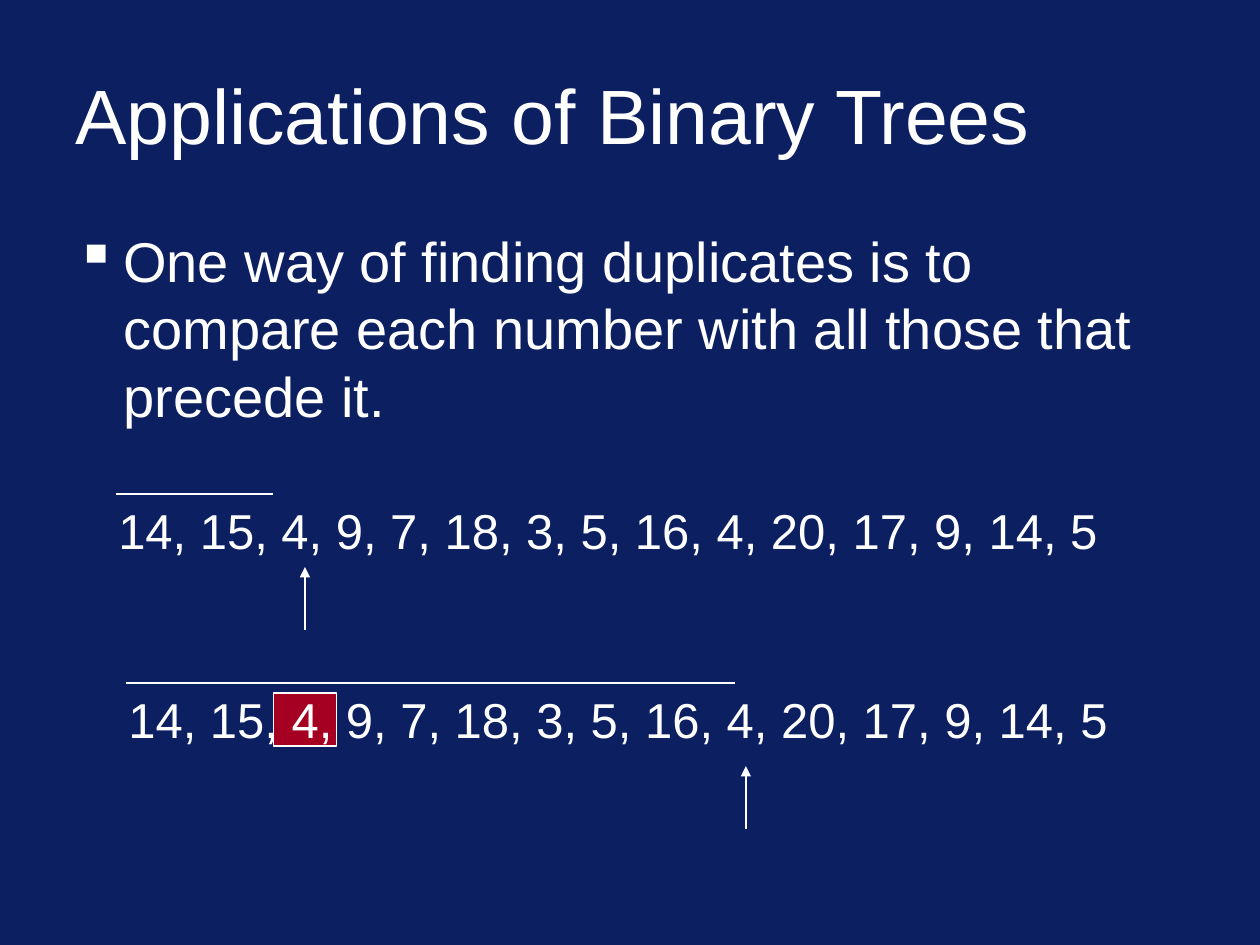
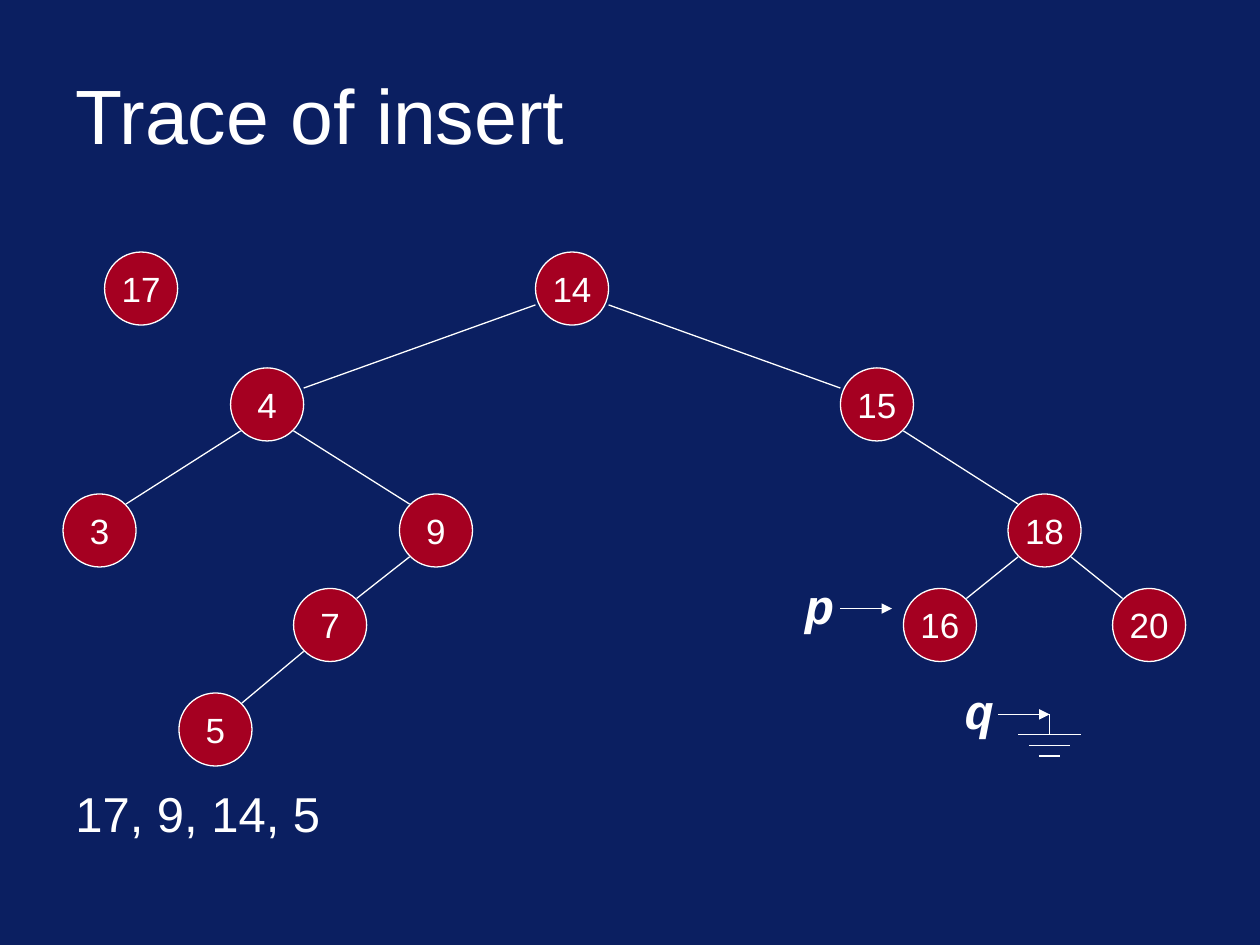
from lxml import etree
from pptx import Presentation
from pptx.dml.color import RGBColor
from pptx.enum.shapes import MSO_CONNECTOR, MSO_SHAPE
from pptx.enum.text import MSO_ANCHOR, PP_ALIGN
from pptx.oxml.ns import qn
from pptx.util import Inches, Pt

NAVY = RGBColor(0x0B, 0x1F, 0x61)
RED = RGBColor(0xA5, 0x00, 0x21)
WHITE = RGBColor(0xFF, 0xFF, 0xFF)
LINE_WIDTH = Pt(0.75)
NODE_SIZE = 0.58
CORNER = 0.08
NUMBERS = "14, 15, 4, 9, 7, 18, 3, 5, 16, 4, 20, 17, 9, 14, 5"


def write(sp, text, size=28, font="Arial", bold=False, italic=False,
          align=PP_ALIGN.LEFT, anchor=MSO_ANCHOR.TOP, wrap=True, before=0):
    """Put one formatted paragraph into a shape and return it."""
    tf = sp.text_frame
    tf.word_wrap = wrap
    tf.vertical_anchor = anchor
    p = tf.paragraphs[0]
    p.alignment = align
    p.space_before = Pt(before)
    r = p.add_run()
    r.text = text
    r.font.size = Pt(size)
    r.font.name = font
    r.font.bold = bold
    r.font.italic = italic
    r.font.color.rgb = WHITE
    return p


def add_text(s, left, top, width, height, text, **style):
    """Add a text box holding one paragraph."""
    box = s.shapes.add_textbox(Inches(left), Inches(top), Inches(width), Inches(height))
    return write(box, text, **style)


def add_bullet(p, char, indent):
    """Give a paragraph a white bullet with a hanging indent."""
    pPr = p._p.get_or_add_pPr()
    pPr.set("marL", str(Inches(indent)))
    pPr.set("indent", str(-Inches(indent)))
    color = etree.SubElement(pPr, qn("a:buClr"))
    etree.SubElement(color, qn("a:srgbClr")).set("val", str(WHITE))
    etree.SubElement(pPr, qn("a:buChar")).set("char", char)


def add_line(s, x1, y1, x2, y2, arrow=False):
    """Draw a thin white line, with an arrowhead at its end if asked."""
    c = s.shapes.add_connector(MSO_CONNECTOR.STRAIGHT, Inches(x1), Inches(y1),
                               Inches(x2), Inches(y2))
    c.line.color.rgb = WHITE
    c.line.width = LINE_WIDTH
    if arrow:
        etree.SubElement(c.line._get_or_add_ln(), qn("a:tailEnd")).set("type", "triangle")
    etree.SubElement(c._element.spPr, qn("a:effectLst"))


def add_red_shape(s, kind, left, top, width, height):
    """Add a red shape with a thin white outline."""
    sp = s.shapes.add_shape(kind, Inches(left), Inches(top), Inches(width), Inches(height))
    sp.shadow.inherit = False
    sp.fill.solid()
    sp.fill.fore_color.rgb = RED
    sp.line.color.rgb = WHITE
    sp.line.width = LINE_WIDTH
    return sp


def new_slide(prs, title):
    """Add a navy slide with its title."""
    s = prs.slides.add_slide(prs.slide_layouts[6])
    s.background.fill.solid()
    s.background.fill.fore_color.rgb = NAVY
    add_text(s, 0.5, 0.4, 9, 1, title, size=44, anchor=MSO_ANCHOR.MIDDLE)
    return s


def number_row(s, left, top, bar, arrow_x, arrow_y, duplicate_x=None):
    """Show the numbers, a bar over those compared and an arrow to the current one."""
    if duplicate_x is not None:
        add_red_shape(s, MSO_SHAPE.RECTANGLE, left + duplicate_x, top + 0.08, 0.5, 0.42)
    add_text(s, left - 0.08, top, 7.97, 0.57, NUMBERS, align=PP_ALIGN.CENTER, wrap=False)
    add_line(s, left, top, left + bar, top)
    x, y = left + arrow_x, top + arrow_y
    add_line(s, x, y + 0.5, x, y, arrow=True)


def tree_node(s, left, top, label):
    """Draw a numbered tree node."""
    sp = add_red_shape(s, MSO_SHAPE.OVAL, left, top, NODE_SIZE, NODE_SIZE)
    tf = sp.text_frame
    tf.margin_left = tf.margin_right = tf.margin_top = tf.margin_bottom = 0
    write(sp, label, size=20, align=PP_ALIGN.CENTER, anchor=MSO_ANCHOR.MIDDLE, wrap=False)


def tree_edge(s, parent, child, inset=CORNER, drop=NODE_SIZE - CORNER, rise=CORNER):
    """Join the lower side of a parent to the upper side of its child."""
    (px, py), (cx, cy) = parent, child
    near, far = inset, NODE_SIZE - inset
    start, end = (near, far) if cx < px else (far, near)
    add_line(s, px + start, py + drop, cx + end, cy + rise)


def pointer(s, left, top, width, name, arrow_x, arrow_y):
    """Draw a named pointer with its arrow."""
    add_text(s, left, top, width, 0.57, name, font="Courier New", bold=True, italic=True,
             align=PP_ALIGN.CENTER, wrap=False)
    x, y = left + arrow_x, top + arrow_y
    add_line(s, x, y, x + 0.41, y, arrow=True)


def null_symbol(s, x, top):
    """Draw a ground symbol centred on x."""
    add_line(s, x, top, x, top + 0.16)
    for i, width in enumerate((0.5, 0.33, 0.17)):
        y = top + 0.16 + i * 0.085
        add_line(s, x - width / 2, y, x + width / 2, y)


def applications_slide(prs):
    """Build the slide on finding duplicates."""
    s = new_slide(prs, "Applications of Binary Trees")
    p = add_text(s, 0.5, 1.75, 9, 2, "One way of finding duplicates is to compare each "
                 "number with all those that precede it.", size=32, before=8)
    add_bullet(p, "▪", 0.38)
    number_row(s, 0.92, 3.92, bar=1.25, arrow_x=1.5, arrow_y=0.58)
    number_row(s, 1, 5.42, bar=4.83, arrow_x=4.92, arrow_y=0.66, duplicate_x=1.17)


def insert_slide(prs):
    """Build the slide tracing an insertion into the tree."""
    s = new_slide(prs, "Trace of insert")
    add_text(s, 0.5, 6.17, 9, 0.75, "17, 9, 14, 5", before=7)
    nodes = {"14": (4.25, 2), "4": (1.83, 2.92), "15": (6.67, 2.92), "3": (0.5, 3.92),
             "9": (3.17, 3.92), "18": (8, 3.92), "7": (2.33, 4.67), "16": (7.17, 4.67),
             "20": (8.83, 4.67), "5": (1.42, 5.5), "17": (0.83, 2)}
    for label, (left, top) in nodes.items():
        tree_node(s, left, top, label)
    for child in ("4", "15"):
        tree_edge(s, nodes["14"], nodes[child], inset=0, drop=0.42, rise=0.16)
    for parent, child in (("4", "3"), ("4", "9"), ("9", "7"), ("7", "5"),
                          ("15", "18"), ("18", "16"), ("18", "20")):
        tree_edge(s, nodes[parent], nodes[child])
    pointer(s, 6.29, 4.52, 0.43, "p", arrow_x=0.38, arrow_y=0.31)
    pointer(s, 7.54, 5.35, 0.46, "q", arrow_x=0.38, arrow_y=0.32)
    null_symbol(s, 8.33, 5.67)


def main():
    """Build and save the presentation."""
    prs = Presentation()
    prs.slide_width, prs.slide_height = Inches(10), Inches(7.5)
    applications_slide(prs)
    insert_slide(prs)
    prs.save("out.pptx")


if __name__ == "__main__":
    main()
